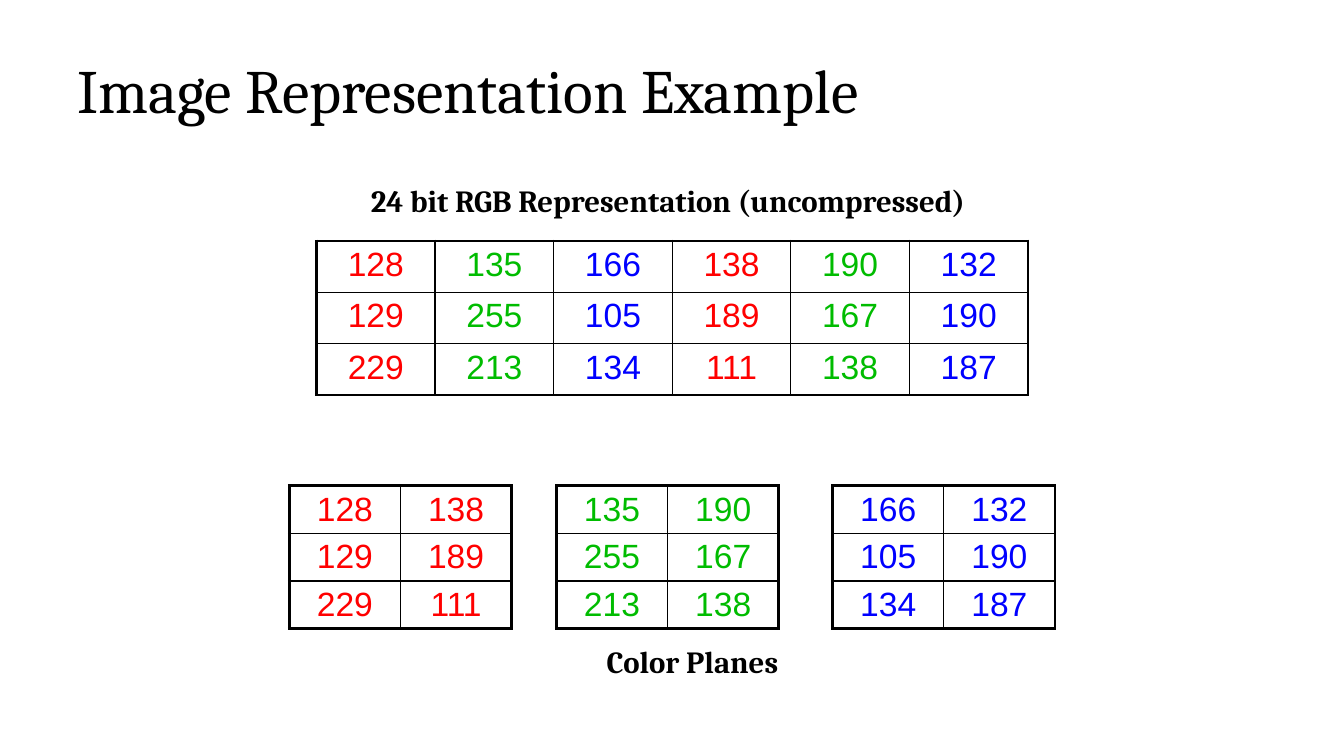
from dataclasses import dataclass

from lxml.etree import SubElement
from pptx import Presentation
from pptx.dml.color import RGBColor
from pptx.enum.text import MSO_ANCHOR, PP_ALIGN
from pptx.oxml.ns import qn
from pptx.util import Emu, Inches, Pt

GRID_COLUMNS = 40
GRID_ROWS = 30
SLIDE_WIDTH = Inches(13.333)
SLIDE_HEIGHT = Inches(7.5)


@dataclass(frozen=True)
class Theme:
    ink: str = "000000"
    channels: tuple[str, ...] = ("FF0000", "00BC00", "0000FF")
    heading_font: str = "Cambria"
    number_font: str = "Arial"
    title_size: float = 44
    label_size: float = 22
    number_size: float = 24
    outer_line: float = 2.25
    inner_line: float = 1


@dataclass(frozen=True)
class Label:
    text: str
    column: float
    row: float
    width: float
    height: float
    size: float
    bold: bool = True
    wrap: bool = True
    anchor: MSO_ANCHOR = MSO_ANCHOR.TOP
    line_spacing: float = 1


@dataclass(frozen=True)
class PixelTable:
    values: list[list[int]]
    colors: tuple[str, ...]
    column: float
    row: float
    cell_width: float
    cell_height: float


THEME = Theme()

PIXELS = [
    [128, 135, 166, 138, 190, 132],
    [129, 255, 105, 189, 167, 190],
    [229, 213, 134, 111, 138, 187],
]
CHANNEL_COUNT = len(THEME.channels)
PLANE_COLUMNS = (8.61, 16.56, 24.78)

LABELS = [
    Label("Image Representation Example", 2, 1.2, 36, 5, THEME.title_size,
          bold=False, anchor=MSO_ANCHOR.MIDDLE, line_spacing=0.9),
    Label("24 bit RGB Representation (uncompressed)", 10.74, 7, 20, 1.88,
          THEME.label_size),
    Label("Color Planes", 17.76, 25.32, 5.9, 1.88, THEME.label_size, wrap=False),
]

TABLES = [PixelTable(PIXELS, THEME.channels, 9.42, 9.56, 3.53, 2.04)] + [
    PixelTable([line[channel::CHANNEL_COUNT] for line in PIXELS],
               (THEME.channels[channel],), column, 19.28, 3.31, 1.88)
    for channel, column in enumerate(PLANE_COLUMNS)
]


def across(columns: float) -> Emu:
    return Emu(round(SLIDE_WIDTH * columns / GRID_COLUMNS))


def down(rows: float) -> Emu:
    return Emu(round(SLIDE_HEIGHT * rows / GRID_ROWS))


def write_text(text_frame, text: str, *, font: str, size: float, color: str,
               bold: bool = False, align: PP_ALIGN = PP_ALIGN.LEFT,
               line_spacing: float = 1) -> None:
    paragraph = text_frame.paragraphs[0]
    paragraph.alignment = align
    paragraph.line_spacing = line_spacing
    run = paragraph.add_run()
    run.text = text
    run.font.name = font
    run.font.size = Pt(size)
    run.font.bold = bold
    run.font.color.rgb = RGBColor.from_string(color)


def draw_label(slide, label: Label) -> None:
    shape = slide.shapes.add_textbox(across(label.column), down(label.row),
                                     across(label.width), down(label.height))
    shape.text_frame.word_wrap = label.wrap
    shape.text_frame.vertical_anchor = label.anchor
    write_text(shape.text_frame, label.text, font=THEME.heading_font,
               size=label.size, color=THEME.ink, bold=label.bold,
               line_spacing=label.line_spacing)


def draw_borders(cell, outer_sides: dict[str, bool]) -> None:
    properties = cell._tc.get_or_add_tcPr()
    for position, (side, is_outer) in enumerate(outer_sides.items()):
        width = THEME.outer_line if is_outer else THEME.inner_line
        line = SubElement(properties, qn(f"a:ln{side}"), w=str(Pt(width)))
        fill = SubElement(line, qn("a:solidFill"))
        SubElement(fill, qn("a:srgbClr"), val=THEME.ink)
        properties.insert(position, line)


def draw_table(slide, block: PixelTable) -> None:
    row_count, column_count = len(block.values), len(block.values[0])
    table = slide.shapes.add_table(
        row_count, column_count, across(block.column), down(block.row),
        across(block.cell_width * column_count),
        down(block.cell_height * row_count)).table
    table.first_row = False
    table.horz_banding = False
    for row_index, values in enumerate(block.values):
        table.rows[row_index].height = down(block.cell_height)
        for column_index, value in enumerate(values):
            cell = table.cell(row_index, column_index)
            cell.fill.background()
            write_text(cell.text_frame, str(value), font=THEME.number_font,
                       size=THEME.number_size, align=PP_ALIGN.CENTER,
                       color=block.colors[column_index % len(block.colors)])
            draw_borders(cell, {
                "L": column_index == 0,
                "R": column_index == column_count - 1,
                "T": row_index == 0,
                "B": row_index == row_count - 1,
            })


def main() -> None:
    presentation = Presentation()
    presentation.slide_width = SLIDE_WIDTH
    presentation.slide_height = SLIDE_HEIGHT
    slide = presentation.slides.add_slide(presentation.slide_layouts[6])
    for block in TABLES:
        draw_table(slide, block)
    for label in LABELS:
        draw_label(slide, label)
    presentation.save("out.pptx")


if __name__ == "__main__":
    main()
